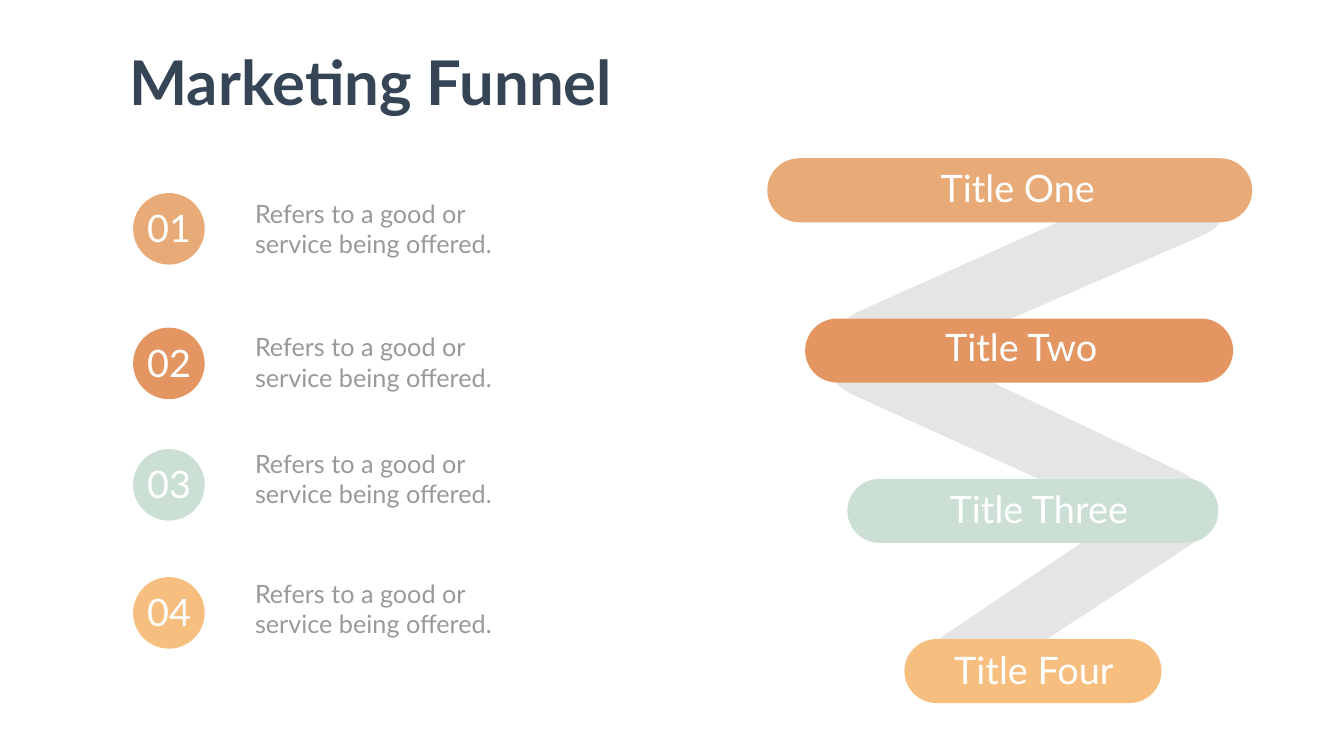
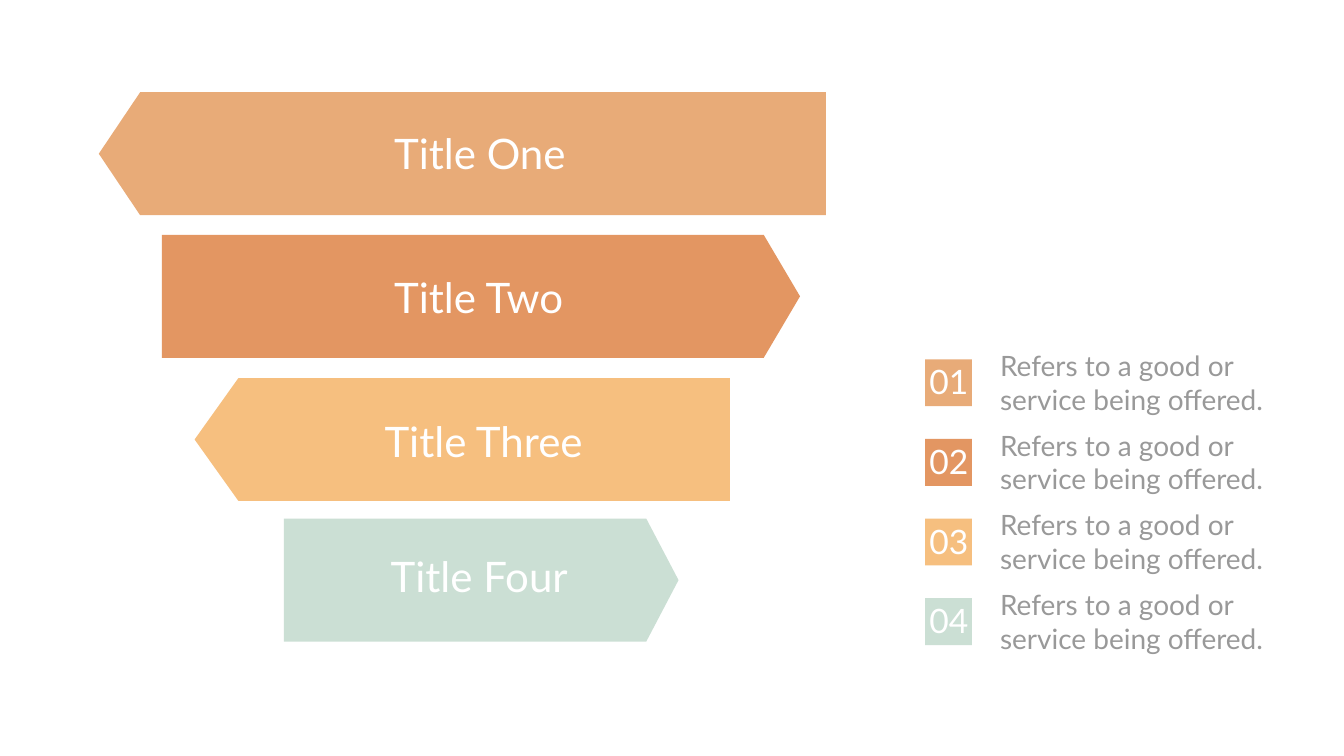
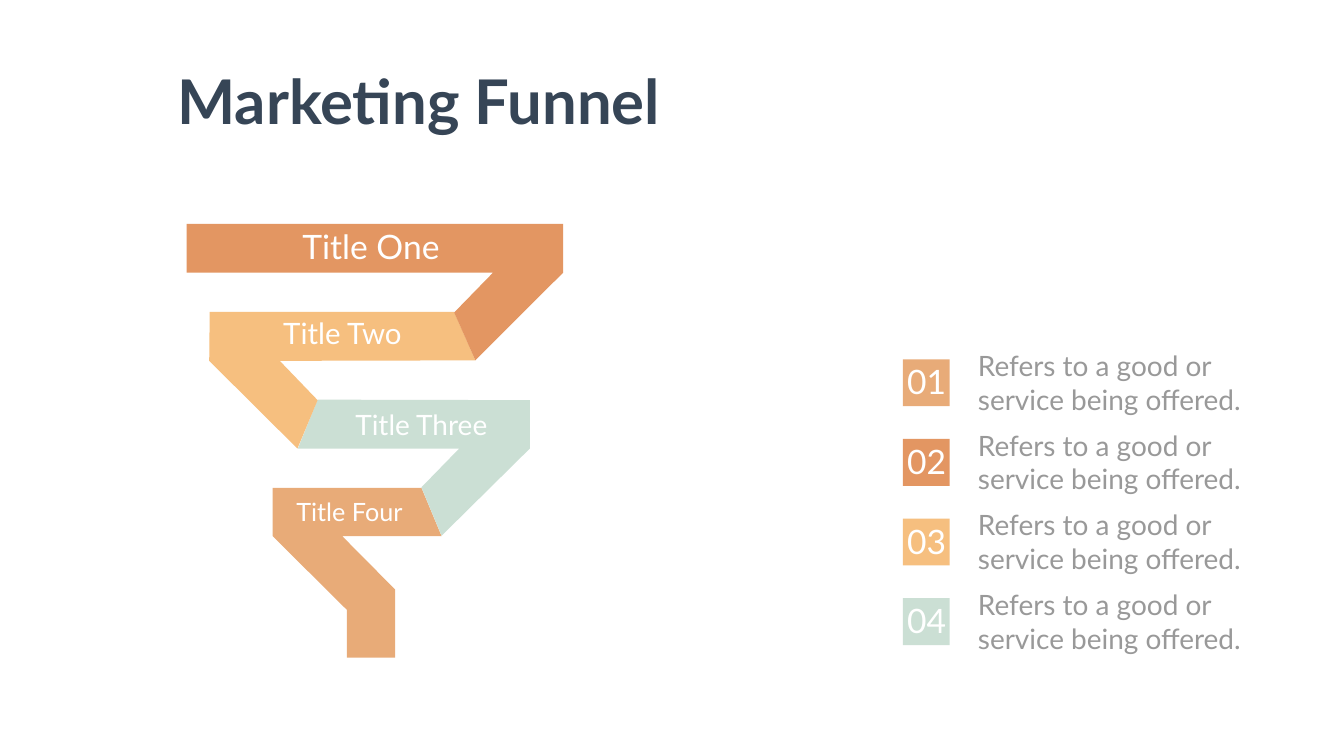
from lxml import etree
from pptx import Presentation
from pptx.dml.color import RGBColor
from pptx.enum.shapes import MSO_SHAPE
from pptx.enum.text import MSO_ANCHOR, MSO_AUTO_SIZE, PP_ALIGN
from pptx.oxml.ns import qn
from pptx.util import Inches, Pt

OVAL = MSO_SHAPE.OVAL
SQUARE = MSO_SHAPE.RECTANGLE
PILL = MSO_SHAPE.ROUNDED_RECTANGLE
ARROW = MSO_SHAPE.PENTAGON
TOP = MSO_ANCHOR.TOP
LEFT = PP_ALIGN.LEFT
GROW = MSO_AUTO_SIZE.SHAPE_TO_FIT_TEXT

COLUMNS, ROWS = 26.66, 15
CELL = Inches(1)
TITLE_ONLY, BLANK = 5, 6
FONT = "Lato"

NAVY = RGBColor(0x36, 0x45, 0x56)
WHITE = RGBColor(0xFF, 0xFF, 0xFF)
GREY = RGBColor(0x99, 0x99, 0x99)
SHADE = RGBColor(0x80, 0x80, 0x80)
SAND = RGBColor(0xE8, 0xAB, 0x78)
ORANGE = RGBColor(0xE3, 0x96, 0x62)
MINT = RGBColor(0xCB, 0xDF, 0xD4)
YELLOW = RGBColor(0xF6, 0xBF, 0x7F)

TITLE = "Marketing Funnel"
STAGES = ["Title One", "Title Two", "Title Three", "Title Four"]
DESCRIPTION = ["Refers to a good or", "service being offered."]

BACK_RIBBONS = [
    [(23.88, 4.66), (17.37, 7.49), (17.24, 7.55, 17.1, 7.57, 16.96, 7.54),
     (16.3, 7.44, 16.32, 6.5, 16.99, 6.2), (23.46, 3.3),
     (23.77, 3.16, 24.12, 3.24, 24.28, 3.51), (24.32, 3.57),
     (24.54, 3.94, 24.32, 4.47, 23.88, 4.66)],
    [(23.62, 10.81), (19.03, 13.82), (18.83, 13.93, 18.6, 13.94, 18.43, 13.84),
     (18.19, 13.52), (17.8, 13.29, 18.09, 13, 18.53, 12.74), (23.08, 9.67),
     (23.37, 9.5, 23.72, 9.57, 23.88, 9.83), (23.92, 9.89),
     (24.1, 10.19, 23.96, 10.62, 23.62, 10.81)],
    [(16.87, 7.81), (23.11, 10.64), (23.27, 10.71, 23.44, 10.73, 23.59, 10.69),
     (24.16, 10.52, 24.12, 9.7, 23.52, 9.41), (17.34, 6.47),
     (17.03, 6.32, 16.69, 6.41, 16.53, 6.66), (16.47, 6.77),
     (16.26, 7.12, 16.45, 7.62, 16.87, 7.81)],
]
FOLDED_RIBBONS = [
    (SAND, [(8.36, 9.68), (5.41, 9.68), (5.41, 10.64), (6.88, 12.1), (6.88, 13.05),
            (7.84, 13.05), (7.84, 11.7), (6.79, 10.64), (8.76, 10.64)]),
    (MINT, [(6.3, 7.93), (5.91, 8.9), (9.11, 8.9), (8.36, 9.67), (8.76, 10.63),
            (10.51, 8.9), (10.51, 7.94)]),
    (YELLOW, [(5.9, 8.9), (6.3, 7.94), (5.55, 7.16), (9.43, 7.15), (9.01, 6.19),
              (4.16, 6.19), (4.15, 7.16)]),
    (ORANGE, [(9.01, 6.2), (9.43, 7.15), (11.17, 5.41), (11.17, 4.44), (3.7, 4.44),
              (3.7, 5.41), (9.78, 5.41)]),
]


def cells(*values):
    return [round(value * CELL) for value in values]


def paint(shape, colour):
    shape.shadow.inherit = False
    shape.fill.solid()
    shape.fill.fore_color.rgb = colour
    shape.line.fill.background()


def write(frame, lines, size, colour, bold=False):
    frame.word_wrap = False
    frame.auto_size = GROW
    frame.vertical_anchor = TOP
    for index, line in enumerate(lines):
        paragraph = frame.add_paragraph() if index else frame.paragraphs[0]
        paragraph.alignment = LEFT
        run = paragraph.add_run()
        run.text = line
        run.font.name = FONT
        run.font.size = Pt(size)
        run.font.bold = bold
        run.font.color.rgb = colour


def text_height(size, line_count=1):
    return line_count * size / 60 + 0.11


def number_width(size):
    return size / 60 + 0.18


def add_text(shapes, left, top, width, lines, size, colour):
    height = text_height(size, len(lines))
    box = shapes.add_textbox(*cells(left, top, width, height))
    write(box.text_frame, lines, size, colour)


def set_title(slide, left, top):
    title = slide.shapes.title
    title.left, title.top, title.width, title.height = cells(left, top, 10.01, text_height(88))
    write(title.text_frame, [TITLE], 88, NAVY, True)


def add_preset(shapes, kind, left, top, width, height, colour):
    shape = shapes.add_shape(kind, *cells(left, top, width, height))
    paint(shape, colour)
    return shape


def flatten(outline, steps=8):
    points = [outline[0]]
    for part in outline[1:]:
        if len(part) == 2:
            points.append(part)
            continue
        controls = [points[-1], part[:2], part[2:4], part[4:]]
        for step in range(1, steps + 1):
            share = step / steps
            rest = 1 - share
            weights = [rest ** 3, 3 * rest ** 2 * share, 3 * rest * share ** 2, share ** 3]
            points.append(tuple(
                sum(weight * control[axis] for weight, control in zip(weights, controls))
                for axis in (0, 1)))
    return points


def add_outline(shapes, outline, colour, opacity=100):
    points = [cells(*point) for point in flatten(outline)]
    builder = shapes.build_freeform(*points[0])
    builder.add_line_segments(points[1:], close=True)
    shape = builder.convert_to_shape()
    paint(shape, colour)
    if opacity < 100:
        for tone in shape.element.spPr.iter(qn("a:srgbClr")):
            etree.SubElement(tone, qn("a:alpha"), val=str(opacity * 1000))


def add_badge(shapes, kind, left, top, side, number, size, colour):
    add_preset(shapes, kind, left, top, side, side, colour)
    width, height = number_width(size), text_height(size)
    add_text(shapes, left + (side - width) / 2 + 0.01, top + (side - height) / 2 - 0.02,
             width, [f"{number:02}"], size, WHITE)


def add_square_legend(shapes, left):
    for index, colour in enumerate([SAND, ORANGE, YELLOW, MINT]):
        top = 7.13 + index * 1.58
        add_badge(shapes, SQUARE, left, top, 0.93, index + 1, 48, colour)
        add_text(shapes, left + 1.39, top - 0.26, 5.52, DESCRIPTION, 40, GREY)


def add_stage_labels(shapes, places, sizes):
    for stage, (left, top, width), size in zip(STAGES, places, sizes):
        add_text(shapes, left, top, width, [stage], size, WHITE)


def build_pill_funnel(presentation):
    slide = presentation.slides.add_slide(presentation.slide_layouts[TITLE_ONLY])
    shapes = slide.shapes
    set_title(slide, 2.47, 0.82)
    for outline in BACK_RIBBONS:
        add_outline(shapes, outline, SHADE, 20)
    colours = [SAND, ORANGE, MINT, YELLOW]
    bars = [(15.22, 9.62), (15.97, 8.49), (16.81, 7.36), (17.94, 5.1)]
    for index, (left, width) in enumerate(bars):
        bar = add_preset(shapes, PILL, left, 3.14 + index * 3.18, width, 1.27, colours[index])
        bar.adjustments[0] = 0.5
    add_stage_labels(shapes, [(18.56, 3.22, 3.3), (18.65, 6.38, 3.35),
                              (18.74, 9.58, 3.82), (18.83, 12.78, 3.43)], [54] * 4)
    tops = [(3.83, 3.89), (6.5, 6.53), (8.91, 8.84), (11.45, 11.43)]
    for index, (badge_top, text_top) in enumerate(tops):
        add_badge(shapes, OVAL, 2.64, badge_top, 1.42, index + 1, 54, colours[index])
        add_text(shapes, 4.96, text_top, 4.99, DESCRIPTION, 36, GREY)


def build_arrow_funnel(presentation):
    shapes = presentation.slides.add_slide(presentation.slide_layouts[BLANK]).shapes
    height = 2.44
    arrows = [(1.96, 1.83, 14.42, 0.82, SAND), (3.21, 4.66, 12.66, 0.72, ORANGE),
              (3.86, 7.5, 10.62, 0.87, YELLOW), (5.63, 10.29, 7.83, 0.64, MINT)]
    for index, (left, top, width, tip, colour) in enumerate(arrows):
        arrow = add_preset(shapes, ARROW, left, top, width, height, colour)
        arrow.adjustments[0] = tip / height
        if index % 2 == 0:
            arrow.rotation = 180
    add_stage_labels(shapes, [(7.72, 2.49, 3.64), (7.72, 5.33, 3.69),
                              (7.53, 8.2, 4.22), (7.65, 10.87, 3.79)], [60] * 4)
    add_square_legend(shapes, 18.35)


def build_folded_funnel(presentation):
    slide = presentation.slides.add_slide(presentation.slide_layouts[TITLE_ONLY])
    shapes = slide.shapes
    set_title(slide, 3.42, 1.2)
    for colour, outline in FOLDED_RIBBONS:
        add_outline(shapes, outline, colour)
    add_square_legend(shapes.add_group_shape().shapes, 17.91)
    add_stage_labels(shapes, [(5.9, 4.44, 2.96), (5.52, 6.2, 2.65),
                              (6.95, 8.03, 2.88), (5.78, 9.79, 2.35)], [48, 42, 40, 36])


def main():
    presentation = Presentation()
    presentation.slide_width, presentation.slide_height = cells(COLUMNS, ROWS)
    build_pill_funnel(presentation)
    build_arrow_funnel(presentation)
    build_folded_funnel(presentation)
    presentation.save("out.pptx")


if __name__ == "__main__":
    main()
